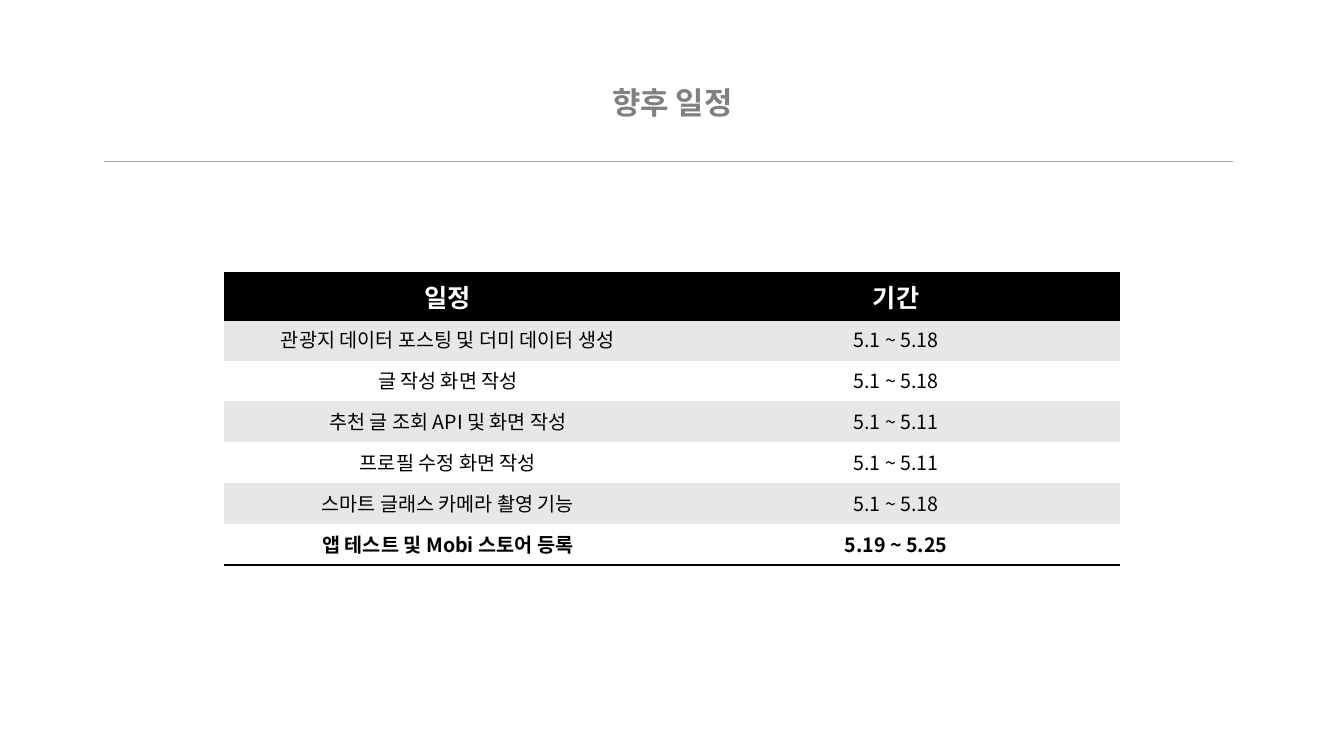
from lxml import etree
from pptx import Presentation
from pptx.dml.color import RGBColor
from pptx.enum.shapes import MSO_CONNECTOR
from pptx.enum.text import MSO_ANCHOR, PP_ALIGN
from pptx.oxml.ns import qn
from pptx.util import Inches, Pt

CENTER = PP_ALIGN.CENTER
MIDDLE = MSO_ANCHOR.MIDDLE
STRAIGHT = MSO_CONNECTOR.STRAIGHT

BLACK = RGBColor(0x00, 0x00, 0x00)
WHITE = RGBColor(0xFF, 0xFF, 0xFF)
BAND_GRAY = RGBColor(0xE7, 0xE7, 0xE7)
TITLE_GRAY = RGBColor(0x80, 0x80, 0x80)
RULE_GRAY = RGBColor(0xA6, 0xA6, 0xA6)

FONT = "Noto Sans CJK KR"
PLAIN_TABLE_STYLE = "{2D5ABB26-0587-4C30-8999-92F81FD0307C}"
TITLE_FORMAT = {"size": Pt(22), "bold": True}
HEADER_FORMAT = {"size": Pt(18), "bold": True}
BODY_FORMAT = {"size": Pt(14), "bold": False}
FINAL_FORMAT = {"size": Pt(14), "bold": True}

SCHEDULE = [
    ("일정", "기간"),
    ("관광지 데이터 포스팅 및 더미 데이터 생성", "5.1 ~ 5.18"),
    ("글 작성 화면 작성", "5.1 ~ 5.18"),
    ("추천 글 조회 API 및 화면 작성", "5.1 ~ 5.11"),
    ("프로필 수정 화면 작성", "5.1 ~ 5.11"),
    ("스마트 글래스 카메라 촬영 기능", "5.1 ~ 5.18"),
    ("앱 테스트 및 Mobi 스토어 등록", "5.19 ~ 5.25"),
]


def write_text(frame, text, color, format_values):
    para = frame.paragraphs[0]
    para.alignment = CENTER
    span = para.add_run()
    span.text = text
    span.font.name = FONT
    span.font.color.rgb = color
    for name, value in format_values.items():
        setattr(span.font, name, value)
    east_asian = etree.SubElement(span.font._element, qn("a:ea"))
    east_asian.set("typeface", FONT)
    return para


def add_border(cell, side, color, width):
    properties = cell._tc.get_or_add_tcPr()
    border = etree.Element(qn(f"a:{side}"), w=str(Pt(width)))
    fill = etree.SubElement(border, qn("a:solidFill"))
    etree.SubElement(fill, qn("a:srgbClr"), val=str(color))
    properties.insert(len(properties.findall(qn("a:lnT"))), border)


def place_heading(page, left, top, width, height):
    title = page.shapes.title
    title.left, title.top, title.width, title.height = left, top, width, height
    title.text_frame.word_wrap = True
    title.text_frame.vertical_anchor = MIDDLE
    para = write_text(title.text_frame, "향후 일정", TITLE_GRAY, TITLE_FORMAT)
    para.line_spacing = 0.9


def place_rule(page, left, top, width):
    rule = page.shapes.add_connector(STRAIGHT, left, top, left + width, top)
    rule.line.color.rgb = RULE_GRAY
    rule.line.width = Pt(0.25)
    etree.SubElement(rule._element.spPr, qn("a:effectLst"))


def place_schedule(page, left, top, width, height):
    last = len(SCHEDULE) - 1
    frame = page.shapes.add_table(len(SCHEDULE), 2, left, top, width, height)
    table = frame.table
    table._tbl.tblPr.find(qn("a:tableStyleId")).text = PLAIN_TABLE_STYLE
    for row_index, entries in enumerate(SCHEDULE):
        if row_index == 0:
            fill, color, format_values = BLACK, WHITE, HEADER_FORMAT
        else:
            fill = BAND_GRAY if row_index % 2 else WHITE
            color = BLACK
            format_values = FINAL_FORMAT if row_index == last else BODY_FORMAT
        for column_index, text in enumerate(entries):
            cell = table.cell(row_index, column_index)
            cell.fill.solid()
            cell.fill.fore_color.rgb = fill
            write_text(cell.text_frame, text, color, format_values)
            if row_index == 0:
                add_border(cell, "lnT", BLACK, 2)
            if row_index in (0, last):
                add_border(cell, "lnB", BLACK, 2)


def main():
    deck = Presentation()
    deck.slide_width = Inches(13.33)
    deck.slide_height = Inches(7.5)
    page = deck.slides.add_slide(deck.slide_layouts[5])
    place_heading(page, Inches(2.42), Inches(0.68), Inches(8.5), Inches(0.71))
    place_rule(page, Inches(1.03), Inches(1.6), Inches(11.2))
    place_schedule(page, Inches(2.22), Inches(2.71), Inches(8.89), Inches(2.84))
    deck.save("out.pptx")


if __name__ == "__main__":
    main()
